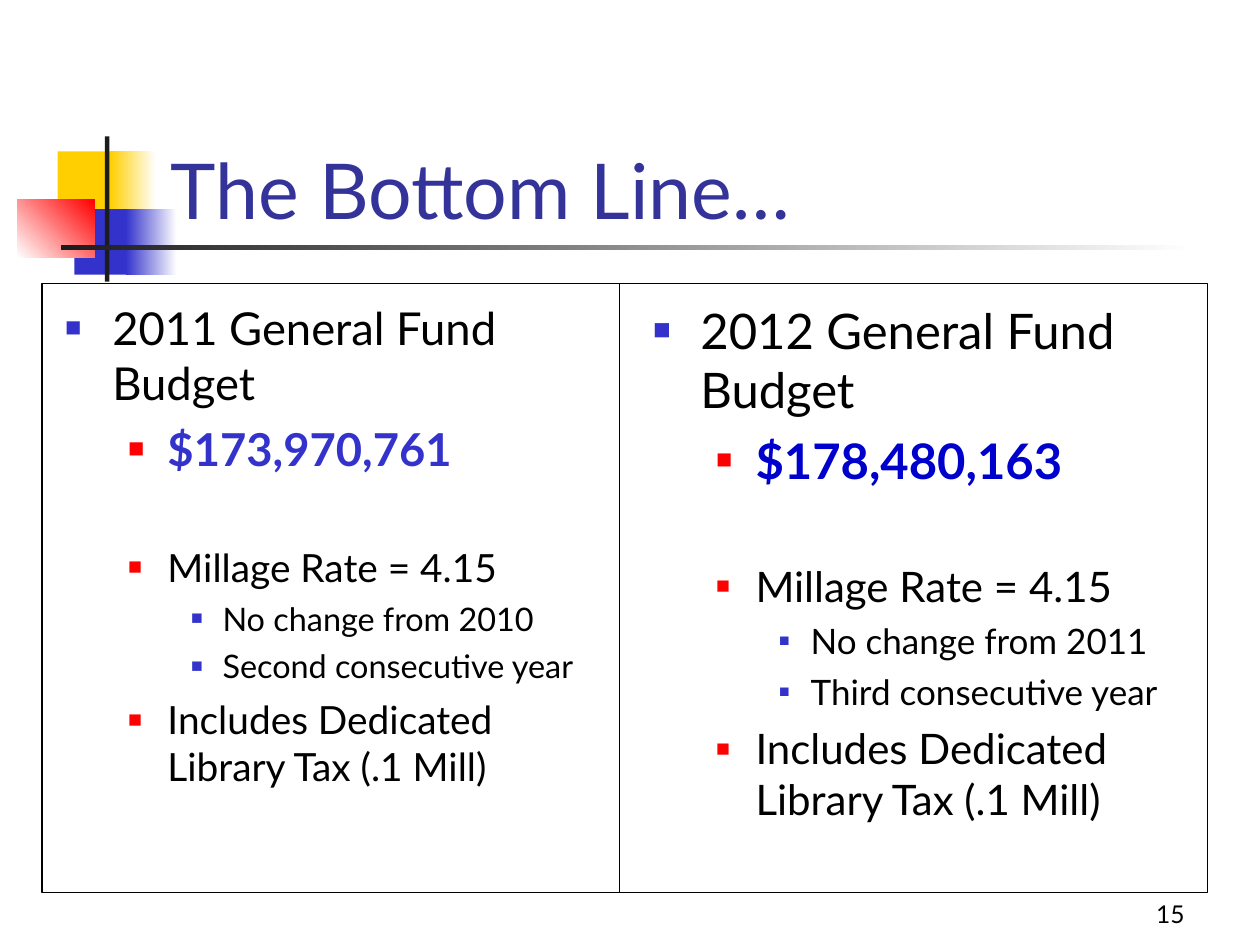
"""Build the budget comparison slide."""
from dataclasses import dataclass
from lxml.etree import SubElement
from pptx import Presentation
from pptx.dml.color import RGBColor
from pptx.enum.shapes import MSO_CONNECTOR, MSO_SHAPE
from pptx.enum.text import MSO_ANCHOR, MSO_AUTO_SIZE, PP_ALIGN
from pptx.oxml.ns import qn
from pptx.util import Pt


@dataclass(frozen=True)
class Theme:
    font: str = "Lato"
    black: str = "000000"
    white: str = "FFFFFF"
    charcoal: str = "1C1C1C"
    yellow: str = "FFCF01"
    blue: str = "3333CC"
    strong_blue: str = "0000CC"
    red: str = "FF0000"
    title_color: str = "333399"
    title_size: float = 44
    number_size: float = 14
    left_sizes: tuple = (25.9, 22.2, 18.5)
    right_sizes: tuple = (28, 24, 20)
    left_bullets: tuple = (60, 60, 60)
    right_bullets: tuple = (60, 55, 50)
    margins: tuple = (27, 58.5, 90)
    hangs: tuple = (27, 22.5, 18)
    spaces: tuple = (7, 6, 5)


def color(value):
    return RGBColor.from_string(value)


def apply(target, values):
    for name, value in values.items():
        setattr(target, name, value)


class SlideBuilder:
    def __init__(self, page, theme):
        self.page = page
        self.theme = theme

    def place(self, box, area):
        apply(box, dict(zip(("left", "top", "width", "height"), map(Pt, area))))

    def span(self, para, text, size, shade, bold=False):
        span = para.add_run()
        span.text = text
        apply(span.font, {"name": self.theme.font, "size": Pt(size), "bold": bold})
        span.font.color.rgb = color(shade)

    def block(self, area, *shades, angle=0):
        box = self.page.shapes.add_shape(MSO_SHAPE.RECTANGLE, *map(Pt, area))
        box.shadow.inherit = False
        box.line.fill.background()
        if len(shades) == 1:
            box.fill.solid()
            box.fill.fore_color.rgb = color(shades[0])
            return
        box.fill.gradient()
        box.fill.gradient_angle = angle
        for stop, shade in zip(box.fill.gradient_stops, shades):
            stop.color.rgb = color(shade)

    def outline(self, line):
        line.width = Pt(0.75)
        line.color.rgb = color(self.theme.black)

    def frame(self, area):
        box = self.page.shapes.add_shape(MSO_SHAPE.RECTANGLE, *map(Pt, area))
        box.shadow.inherit = False
        box.fill.background()
        self.outline(box.line)

    def divider(self, x, top, bottom):
        rule = self.page.shapes.add_connector(
            MSO_CONNECTOR.STRAIGHT, Pt(x), Pt(top), Pt(x), Pt(bottom))
        SubElement(rule.element.spPr, qn("a:effectLst"))
        self.outline(rule.line)

    def placeholder(self, index, area, anchor):
        box = self.page.placeholders[index]
        self.place(box, area)
        self.page.shapes.element.append(box.element)
        apply(box.text_frame, {"word_wrap": True, "auto_size": MSO_AUTO_SIZE.NONE,
                               "vertical_anchor": anchor})
        return box.text_frame

    def title(self, text, area):
        para = self.placeholder(0, area, MSO_ANCHOR.BOTTOM).paragraphs[0]
        para.alignment = PP_ALIGN.LEFT
        self.span(para, text, self.theme.title_size, self.theme.title_color)

    def bullet(self, para, level, percent):
        shade = self.theme.red if level == 1 else self.theme.blue
        margin, hang = self.theme.margins[level], self.theme.hangs[level]
        properties = para._p.get_or_add_pPr()
        apply(para, {"level": level, "alignment": PP_ALIGN.LEFT})
        properties.set("marL", str(Pt(margin)))
        properties.set("indent", str(-Pt(hang)))
        SubElement(SubElement(properties, qn("a:buClr")), qn("a:srgbClr"), val=shade)
        SubElement(properties, qn("a:buSzPct"), val=str(percent * 1000))
        SubElement(properties, qn("a:buChar"), char="■")

    def budget(self, index, area, sizes, bullets, amount_color, heading, amount, rate, notes, tax):
        frame = self.placeholder(index, area, MSO_ANCHOR.TOP)
        theme = self.theme
        gap = 2 * theme.spaces[1] + 1.2 * sizes[1]
        rows = [(0, heading, sizes[0], 0, theme.black, False),
                (1, amount, sizes[0], theme.spaces[0], amount_color, True),
                (1, rate, sizes[1], gap, theme.black, False),
                *((2, note, sizes[2], theme.spaces[2], theme.black, False) for note in notes),
                (1, tax, sizes[1], theme.spaces[1], theme.black, False)]
        for number, (level, text, size, before, shade, bold) in enumerate(rows):
            para = frame.add_paragraph() if number else frame.paragraphs[0]
            self.bullet(para, level, bullets[level])
            para.space_before = Pt(before)
            self.span(para, text, size, shade, bold)

    def page_number(self, text, area):
        box = self.page.shapes.add_textbox(*map(Pt, area))
        apply(box.text_frame, {"word_wrap": True, "vertical_anchor": MSO_ANCHOR.BOTTOM})
        para = box.text_frame.paragraphs[0]
        para.alignment = PP_ALIGN.RIGHT
        self.span(para, text, self.theme.number_size, self.theme.black)


def main():
    deck = Presentation()
    apply(deck, {"slide_width": Pt(720), "slide_height": Pt(540)})
    theme = Theme()
    builder = SlideBuilder(deck.slides.add_slide(deck.slide_layouts[3]), theme)

    builder.block((33, 86.5, 34.5, 37.5), theme.yellow)
    builder.block((63, 86.5, 26, 37.5), theme.yellow, theme.white)
    builder.block((42.5, 119.5, 33, 37.5), theme.blue)
    builder.block((72, 119.5, 29, 37.5), theme.blue, theme.white)
    builder.block((10, 114, 44, 33), theme.white, theme.red, angle=45)
    builder.block((60, 78, 2.5, 83), theme.charcoal)
    builder.block((35, 140.2, 648, 2.5), theme.charcoal, theme.white)

    builder.page_number("15", (534, 498, 150, 36))
    builder.title("The Bottom Line…", (90.5, 48, 613.5, 90))
    tax = "Includes Dedicated Library Tax (.1 Mill)"
    rate = "Millage Rate = 4.15"
    builder.budget(1, (30, 168, 324, 324), theme.left_sizes, theme.left_bullets, theme.blue,
                   "2011 General Fund Budget", "$173,970,761", rate,
                   ("No change from 2010", "Second consecutive year"), tax)
    builder.budget(2, (366, 168, 324, 339), theme.right_sizes, theme.right_bullets,
                   theme.strong_blue, "2012 General Fund Budget", "$178,480,163", rate,
                   ("No change from 2011", "Third consecutive year"), tax)
    builder.frame((24, 162, 666, 348))
    builder.divider(354, 162, 510)
    deck.save("out.pptx")


if __name__ == "__main__":
    main()
